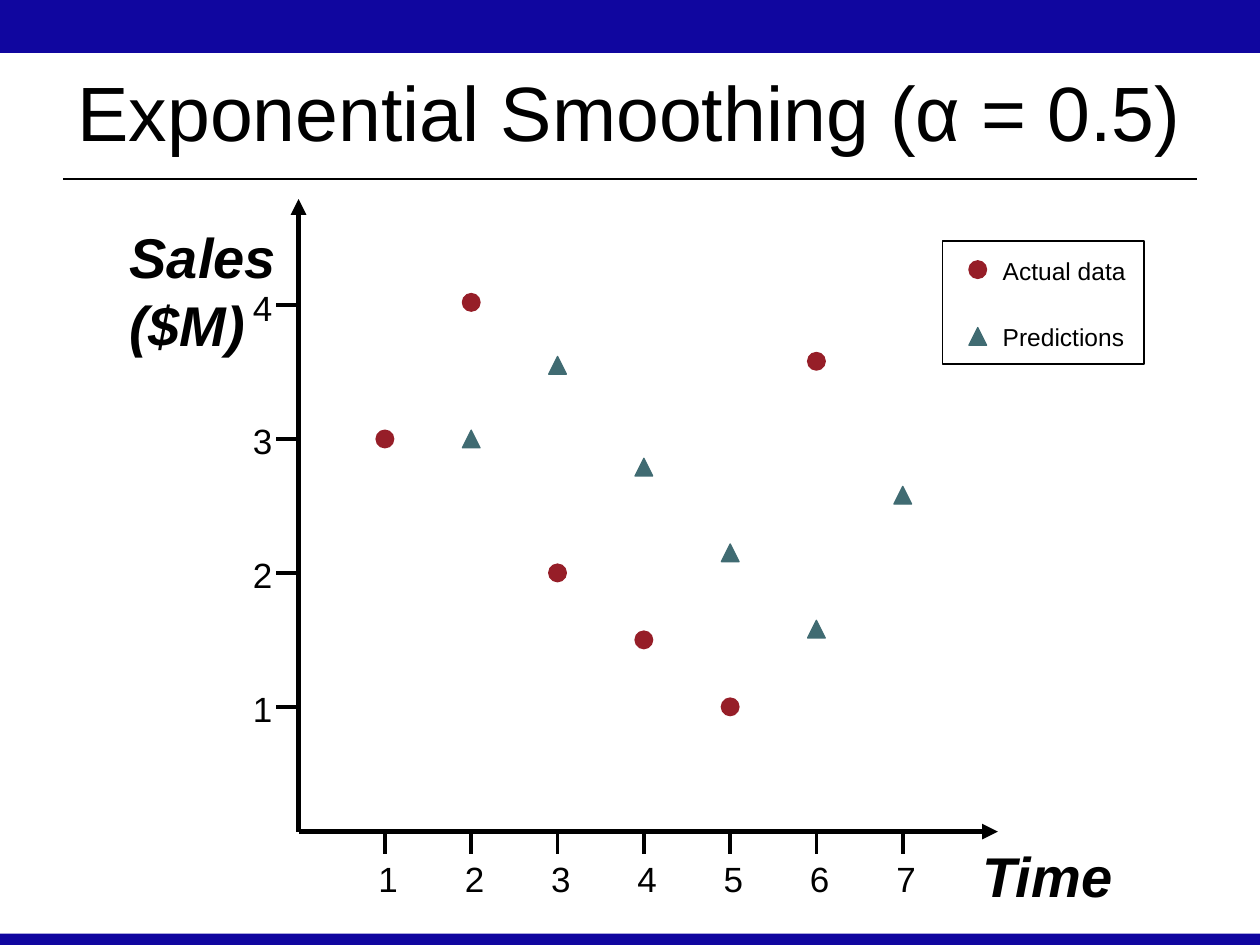
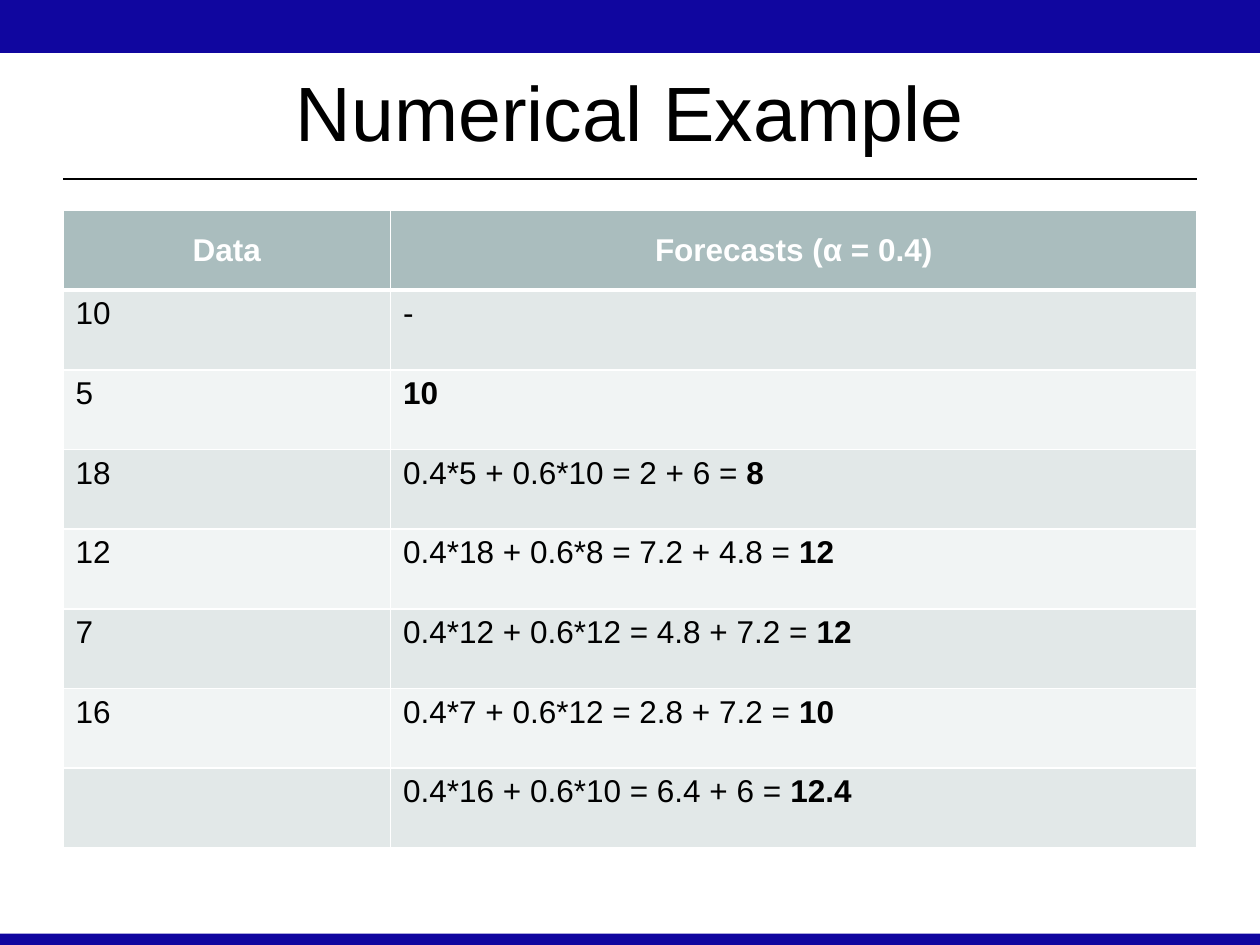
from dataclasses import dataclass
from typing import NamedTuple

from lxml import etree
from pptx import Presentation
from pptx.dml.color import RGBColor
from pptx.enum.shapes import MSO_CONNECTOR, MSO_SHAPE
from pptx.enum.text import MSO_ANCHOR, MSO_AUTO_SIZE, PP_ALIGN
from pptx.oxml.ns import qn
from pptx.util import Inches, Pt

RECTANGLE, CIRCLE, TRIANGLE = MSO_SHAPE.RECTANGLE, MSO_SHAPE.OVAL, MSO_SHAPE.ISOSCELES_TRIANGLE
STRAIGHT = MSO_CONNECTOR.STRAIGHT
MIDDLE, TOP = MSO_ANCHOR.MIDDLE, MSO_ANCHOR.TOP
CENTER, LEFT = PP_ALIGN.CENTER, PP_ALIGN.LEFT
FIXED_SIZE, GROW = MSO_AUTO_SIZE.NONE, MSO_AUTO_SIZE.SHAPE_TO_FIT_TEXT

SLIDE_WIDTH, SLIDE_HEIGHT = Inches(10), Inches(7.5)
GRID_COLUMNS, GRID_ROWS = 100, 75
TITLE_ONLY = 5


@dataclass(frozen=True)
class Theme:
    font: str = "Arial"
    ink: str = "000000"
    paper: str = "FFFFFF"
    band: str = "10069F"
    actual: str = "961E28"
    predicted: str = "406B72"
    header_fill: str = "AABDBE"
    row_fills: tuple[str, str] = ("E2E8E8", "F1F4F4")
    title_size: int = 44
    axis_title_size: int = 32
    tick_size: int = 20
    table_size: int = 18
    legend_size: int = 14


class Box(NamedTuple):
    left: float
    top: float
    width: float
    height: float


class Point(NamedTuple):
    column: float
    row: float


class Series(NamedTuple):
    name: str
    shape_type: MSO_SHAPE
    color: str
    first_period: int
    values: tuple[float, ...]


class Forecast(NamedTuple):
    data: str
    working: str
    result: str


THEME = Theme()
BANDS = (Box(0, 0, 100, 4.2), Box(0, 74.1, 100, 1))
TITLE_BOX = Box(5, 2.5, 90, 12.5)
RULE = (Point(5, 14.2), Point(95, 14.2))

ORIGIN = Point(23.7, 66)
SALES_AXIS_END = Point(23.7, 15.8)
TIME_AXIS_END = Point(79.2, 66)
PERIOD_STEP = 6.85
SALES_STEP = 10.63
SALES_ZERO_ROW = 66.73
TICK_LENGTH = 1.8
MARKER_SIZE = 1.4
LEGEND_BOX = Box(74.8, 19.1, 16, 9.8)
LEGEND_FIRST, LEGEND_STEP = Point(77.6, 21.4), 5.3

SERIES = (
    Series("Actual data", CIRCLE, THEME.actual, 1, (3, 4.02, 2, 1.5, 1, 3.58)),
    Series("Predictions", TRIANGLE, THEME.predicted, 2, (3, 3.55, 2.79, 2.15, 1.58, 2.58)),
)

TABLE_BOX = Box(5, 16.7, 90, 50.6)
TABLE_COLUMNS = (26, 64)
TABLE_HEADER = ("Data", "Forecasts (α = 0.4)")
FORECASTS = (
    Forecast("10", "-", ""),
    Forecast("5", "", "10"),
    Forecast("18", "0.4*5 + 0.6*10 = 2 + 6 = ", "8"),
    Forecast("12", "0.4*18 + 0.6*8 = 7.2 + 4.8 = ", "12"),
    Forecast("7", "0.4*12 + 0.6*12 = 4.8 + 7.2 = ", "12"),
    Forecast("16", "0.4*7 + 0.6*12 = 2.8 + 7.2 = ", "10"),
    Forecast("", "0.4*16 + 0.6*10 = 6.4 + 6 = ", "12.4"),
)


def across(columns: float) -> int:
    return round(SLIDE_WIDTH * columns / GRID_COLUMNS)


def down(rows: float) -> int:
    return round(SLIDE_HEIGHT * rows / GRID_ROWS)


def place(box: Box) -> tuple[int, int, int, int]:
    return across(box.left), down(box.top), across(box.width), down(box.height)


def rgb(color: str) -> RGBColor:
    return RGBColor.from_string(color)


def format_font(font, size: int, color: str = THEME.ink, bold: bool = False, italic: bool = False) -> None:
    font.name = THEME.font
    font.size = Pt(size)
    font.color.rgb = rgb(color)
    font.bold = bold
    font.italic = italic


def add_shape(slide, shape_type, box: Box, fill: str = "", line: str = "", line_width: float = 0.75) -> None:
    shape = slide.shapes.add_shape(shape_type, *place(box))
    shape.shadow.inherit = False
    if fill:
        shape.fill.solid()
        shape.fill.fore_color.rgb = rgb(fill)
    else:
        shape.fill.background()
    if line:
        shape.line.color.rgb = rgb(line)
        shape.line.width = Pt(line_width)
    else:
        shape.line.fill.background()


def add_line(slide, start: Point, end: Point, width: float, arrow: bool = False) -> None:
    connector = slide.shapes.add_connector(
        STRAIGHT, across(start.column), down(start.row), across(end.column), down(end.row)
    )
    connector.line.color.rgb = rgb(THEME.ink)
    connector.line.width = Pt(width)
    properties = connector.element.spPr
    if arrow:
        etree.SubElement(properties.find(qn("a:ln")), qn("a:tailEnd"), type="triangle")
    etree.SubElement(properties, qn("a:effectLst"))


def add_label(slide, text: str, box: Box, size: int, emphasis: bool = False) -> None:
    text_frame = slide.shapes.add_textbox(*place(box)).text_frame
    text_frame.text = text
    text_frame.word_wrap = True
    text_frame.auto_size = GROW
    for paragraph in text_frame.paragraphs:
        for run in paragraph.runs:
            format_font(run.font, size, bold=emphasis, italic=emphasis)


def add_titled_slide(presentation, title: str):
    slide = presentation.slides.add_slide(presentation.slide_layouts[TITLE_ONLY])
    for band in BANDS:
        add_shape(slide, RECTANGLE, band, THEME.band)
    add_line(slide, *RULE, 1.25)
    placeholder = slide.shapes.title
    placeholder.left, placeholder.top, placeholder.width, placeholder.height = place(TITLE_BOX)
    text_frame = placeholder.text_frame
    text_frame.text = title
    text_frame.word_wrap = True
    text_frame.auto_size = FIXED_SIZE
    text_frame.vertical_anchor = MIDDLE
    paragraph = text_frame.paragraphs[0]
    paragraph.alignment = CENTER
    format_font(paragraph.runs[0].font, THEME.title_size)
    return slide


def plot_point(period: float, sales: float) -> Point:
    return Point(ORIGIN.column + period * PERIOD_STEP, SALES_ZERO_ROW - sales * SALES_STEP)


def add_marker(slide, series: Series, center: Point) -> None:
    half = MARKER_SIZE / 2
    box = Box(center.column - half, center.row - half, MARKER_SIZE, MARKER_SIZE)
    add_shape(slide, series.shape_type, box, series.color, series.color)


def add_axes(slide) -> None:
    for end in (SALES_AXIS_END, TIME_AXIS_END):
        add_line(slide, ORIGIN, end, 3, arrow=True)
    for period in range(1, 8):
        column = plot_point(period, 0).column
        add_line(slide, Point(column, ORIGIN.row), Point(column, ORIGIN.row + TICK_LENGTH), 2)
        add_label(slide, str(period), Box(column - 1.5, 67.6, 6.1, 4), THEME.tick_size)
    for sales in range(1, 5):
        row = plot_point(0, sales).row
        add_line(slide, Point(ORIGIN.column, row), Point(ORIGIN.column - TICK_LENGTH, row), 2)
        add_label(slide, str(sales), Box(19.1, row - 2, 3, 4), THEME.tick_size)
    add_label(slide, "Sales\n($M)", Box(9.3, 17.2, 14.1, 10.8), THEME.axis_title_size, emphasis=True)
    add_label(slide, "Time", Box(77, 66.3, 12.9, 5.8), THEME.axis_title_size, emphasis=True)


def build_smoothing_slide(presentation) -> None:
    slide = add_titled_slide(presentation, "Exponential Smoothing (α = 0.5)")
    add_axes(slide)
    add_shape(slide, RECTANGLE, LEGEND_BOX, line=THEME.ink, line_width=1)
    for index, series in enumerate(SERIES):
        for period, sales in enumerate(series.values, series.first_period):
            add_marker(slide, series, plot_point(period, sales))
        key = Point(LEGEND_FIRST.column, LEGEND_FIRST.row + index * LEGEND_STEP)
        add_marker(slide, series, key)
        add_label(slide, series.name, Box(key.column + 1, key.row - 1.6, 12.2, 3.1), THEME.legend_size)


def format_cell(cell, fill: str, top: float = 1, bottom: float = 1) -> None:
    properties = cell._tc.get_or_add_tcPr()
    for side, width in (("L", 1), ("R", 1), ("T", top), ("B", bottom)):
        border = etree.SubElement(properties, qn(f"a:ln{side}"), w=str(Pt(width)))
        line_fill = etree.SubElement(border, qn("a:solidFill"))
        etree.SubElement(line_fill, qn("a:srgbClr"), val=THEME.paper)
    cell.fill.solid()
    cell.fill.fore_color.rgb = rgb(fill)


def write_cell(cell, plain: str, strong: str = "", color: str = THEME.ink) -> None:
    paragraph = cell.text_frame.paragraphs[0]
    format_font(paragraph.font, THEME.table_size, color)
    for text, bold in ((plain, False), (strong, True)):
        if text:
            run = paragraph.add_run()
            run.text = text
            format_font(run.font, THEME.table_size, color, bold)


def build_example_slide(presentation) -> None:
    slide = add_titled_slide(presentation, "Numerical Example")
    row_count = len(FORECASTS) + 1
    table = slide.shapes.add_table(row_count, len(TABLE_COLUMNS), *place(TABLE_BOX)).table
    table.horz_banding = False
    for column, width in zip(table.columns, TABLE_COLUMNS):
        column.width = across(width)
    for row in table.rows:
        row.height = down(TABLE_BOX.height / row_count)
    for cell, heading in zip(table.rows[0].cells, TABLE_HEADER):
        format_cell(cell, THEME.header_fill, bottom=3)
        write_cell(cell, "", heading, THEME.paper)
        cell.vertical_anchor = MIDDLE
        cell.text_frame.paragraphs[0].alignment = CENTER
    for index, forecast in enumerate(FORECASTS):
        data_cell, forecast_cell = table.rows[index + 1].cells
        write_cell(data_cell, forecast.data)
        write_cell(forecast_cell, forecast.working, forecast.result)
        for cell in (data_cell, forecast_cell):
            format_cell(cell, THEME.row_fills[index % 2], top=1 if index else 3)
            cell.vertical_anchor = TOP
            cell.text_frame.paragraphs[0].alignment = LEFT


def main() -> None:
    presentation = Presentation()
    presentation.slide_width, presentation.slide_height = SLIDE_WIDTH, SLIDE_HEIGHT
    build_smoothing_slide(presentation)
    build_example_slide(presentation)
    presentation.save("out.pptx")


if __name__ == "__main__":
    main()
